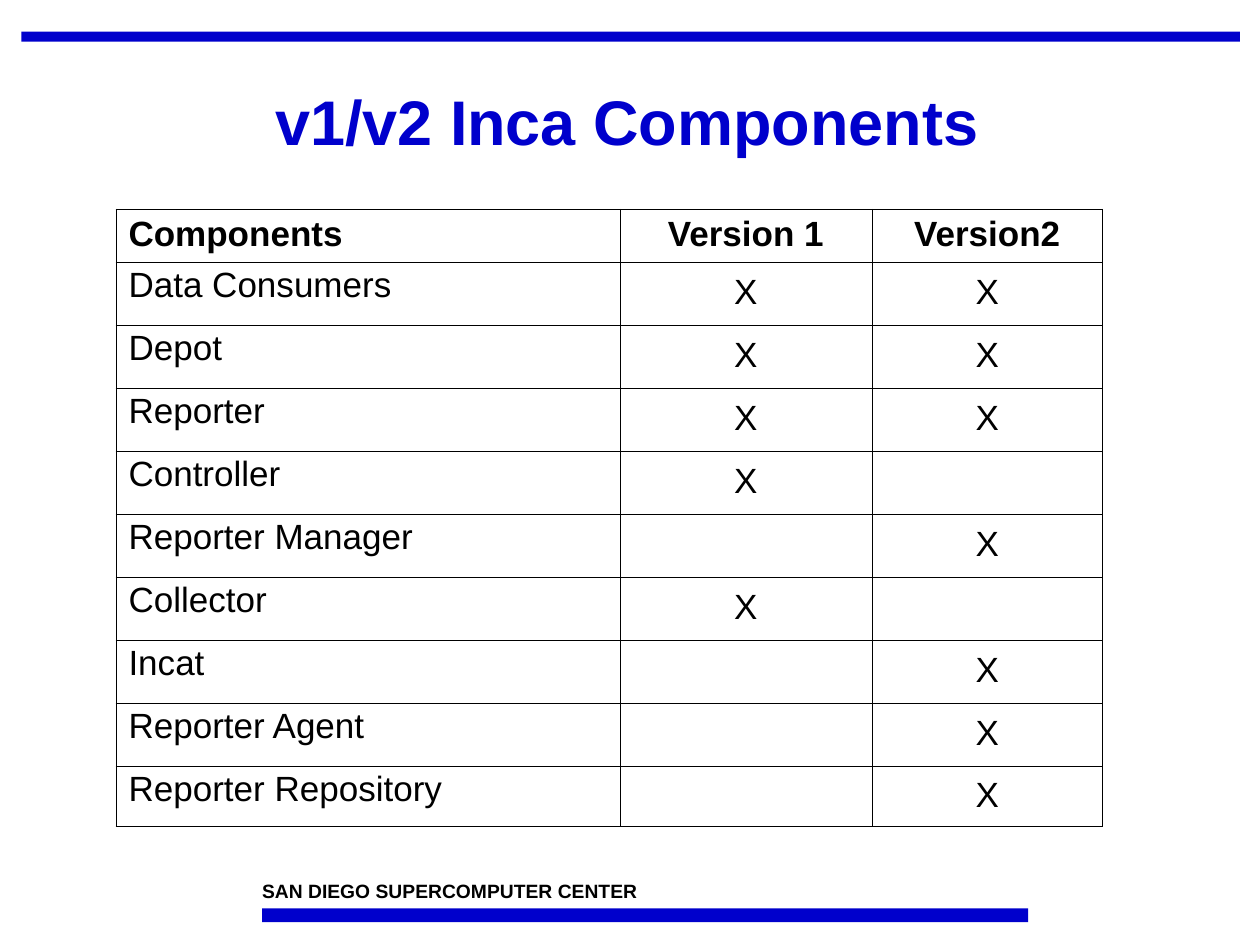
from dataclasses import dataclass

from lxml.etree import SubElement
from pptx import Presentation
from pptx.dml.color import RGBColor
from pptx.enum.shapes import MSO_SHAPE as Shape
from pptx.enum.text import MSO_ANCHOR as Anchor, PP_ALIGN as Align
from pptx.oxml.ns import qn
from pptx.util import Inches, Pt

TITLE = "v1/v2 Inca Components "
CENTER_NAME = "SAN DIEGO SUPERCOMPUTER CENTER"
HEADINGS = ("Components", "Version 1", "Version2")
COMPONENTS = [
    ("Data Consumers", "X", "X"),
    ("Depot", "X", "X"),
    ("Reporter", "X", "X"),
    ("Controller", "X", ""),
    ("Reporter Manager", "", "X"),
    ("Collector", "X", ""),
    ("Incat", "", "X"),
    ("Reporter Agent", "", "X"),
    ("Reporter Repository", "", "X"),
]

COLUMN_WIDTHS = (4, 2, 1.83)
HEADING_HEIGHT, ROW_HEIGHT, LAST_HEIGHT = 0.42, 0.5, 0.48
BARS = [(0.17, 0.25, 9.67, 0.08), (2.08, 7.21, 6.08, 0.11)]


@dataclass(frozen=True)
class Theme:
    font: str = "Arial"
    accent: RGBColor = RGBColor(0, 0, 0xCC)
    ink: RGBColor = RGBColor(0, 0, 0)
    title_size: int = 36
    table_size: int = 20
    footer_size: int = 11
    border: float = 0.45


THEME = Theme()


def write(frame, text, size, color=THEME.ink, bold=False, align=Align.LEFT, spacing=1.0):
    frame.text = text
    paragraph = frame.paragraphs[0]
    paragraph.alignment = align
    paragraph.line_spacing = spacing
    font = paragraph.font if not text else paragraph.runs[0].font
    font.name, font.size, font.bold = THEME.font, Pt(size), bold
    font.color.rgb = color


def add_bar(slide, box):
    bar = slide.shapes.add_shape(Shape.RECTANGLE, *map(Inches, box))
    bar.shadow.inherit = False
    bar.fill.solid()
    bar.fill.fore_color.rgb = THEME.accent
    bar.line.fill.background()


def add_text(slide, box, margins, anchor, *content, **style):
    frame = slide.shapes.add_textbox(*map(Inches, box)).text_frame
    frame.word_wrap = True
    frame.vertical_anchor = anchor
    frame.margin_left = frame.margin_right = Inches(margins[0])
    frame.margin_top = frame.margin_bottom = Inches(margins[1])
    write(frame, *content, **style)


def outline(cell):
    """Draw the four borders, ahead of the cell's fill as the schema requires."""
    properties = cell._tc.get_or_add_tcPr()
    for side in ("lnL", "lnR", "lnT", "lnB"):
        border = SubElement(properties, qn(f"a:{side}"), w=str(int(Pt(THEME.border))))
        fill = SubElement(border, qn("a:solidFill"))
        SubElement(fill, qn("a:srgbClr"), val=str(THEME.ink))


def add_components_table(slide, left, top):
    rows = [HEADINGS, *COMPONENTS]
    heights = [HEADING_HEIGHT] + [ROW_HEIGHT] * (len(COMPONENTS) - 1) + [LAST_HEIGHT]
    table = slide.shapes.add_table(
        len(rows), len(HEADINGS), Inches(left), Inches(top),
        Inches(sum(COLUMN_WIDTHS)), Inches(sum(heights))).table
    table.first_row = table.horz_banding = False
    for column, width in zip(table.columns, COLUMN_WIDTHS):
        column.width = Inches(width)
    for row, height in zip(table.rows, heights):
        row.height = Inches(height)
    for r, values in enumerate(rows):
        for c, value in enumerate(values):
            cell = table.cell(r, c)
            is_name = r > 0 and c == 0
            cell.vertical_anchor = Anchor.TOP if is_name else Anchor.MIDDLE
            outline(cell)
            cell.fill.background()
            write(cell.text_frame, value, THEME.table_size, bold=r == 0,
                  align=Align.CENTER if c else Align.LEFT, spacing=0.95)


def main():
    deck = Presentation()
    deck.slide_width, deck.slide_height = Inches(10), Inches(7.5)
    slide = deck.slides.add_slide(deck.slide_layouts[6])
    for box in BARS:
        add_bar(slide, box)
    add_text(slide, (2.08, 6.98, 3.75, 0.18), (0, 0), Anchor.TOP,
             CENTER_NAME, THEME.footer_size, bold=True)
    add_text(slide, (0.42, 0.42, 9.25, 1.14), (0.1, 0.05), Anchor.MIDDLE,
             TITLE, THEME.title_size, THEME.accent, bold=True,
             align=Align.CENTER, spacing=0.9)
    add_components_table(slide, 0.92, 1.66)
    deck.save("out.pptx")


if __name__ == "__main__":
    main()
